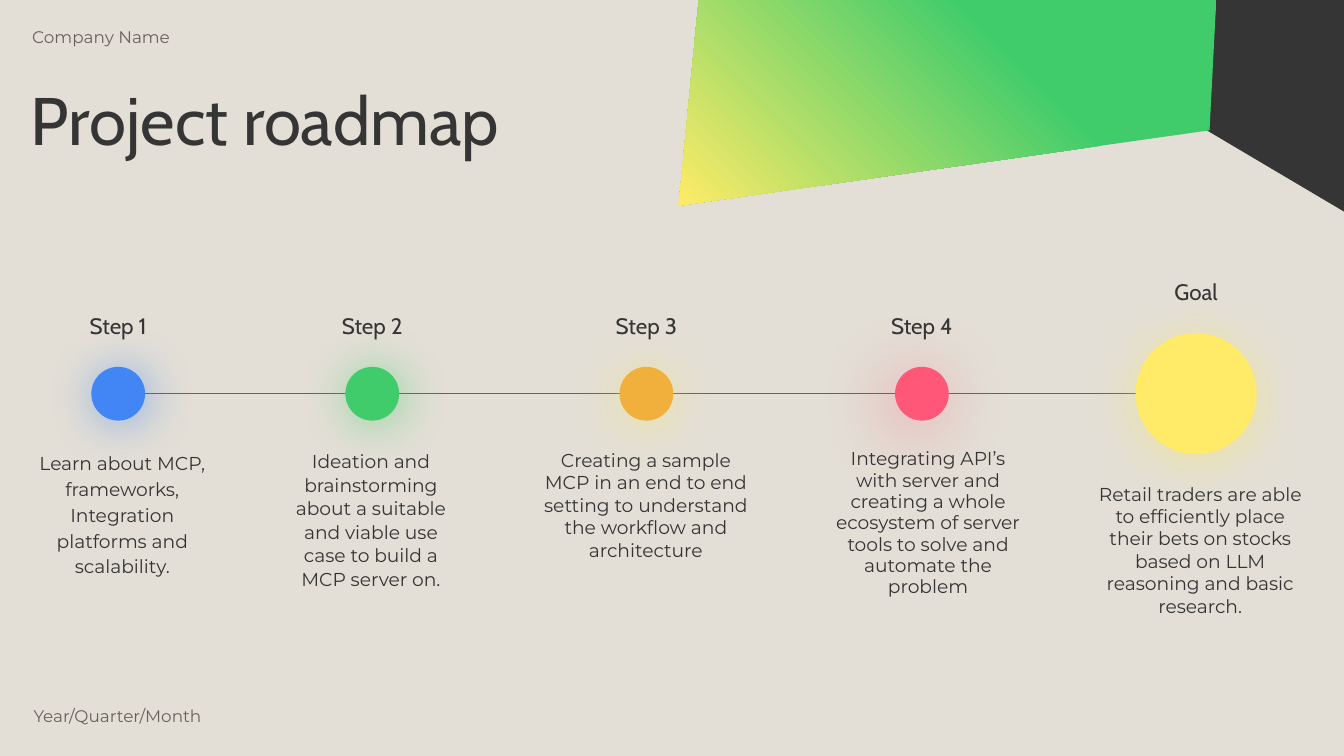
import copy

import lxml.etree
import pptx
import pptx.dml.color
import pptx.enum.shapes
import pptx.enum.text
import pptx.oxml.ns
import pptx.util

Inches = pptx.util.Inches
Pt = pptx.util.Pt
RGBColor = pptx.dml.color.RGBColor
Align = pptx.enum.text.PP_ALIGN
Anchor = pptx.enum.text.MSO_ANCHOR
qn = pptx.oxml.ns.qn

SAND = RGBColor(0xE3, 0xDF, 0xD6)
DARK = RGBColor(0x35, 0x35, 0x35)
GREY = RGBColor(0x69, 0x61, 0x5E)
BLUE = RGBColor(0x42, 0x85, 0xF4)
GREEN = RGBColor(0x41, 0xCC, 0x6B)
AMBER = RGBColor(0xF0, 0xB0, 0x3B)
PINK = RGBColor(0xFF, 0x57, 0x77)
YELLOW = RGBColor(0xFF, 0xEB, 0x67)

SMALL = {"name": "Montserrat", "size": Pt(9), "color": GREY}
NOTE = {"name": "Montserrat", "size": Pt(10), "color": DARK}
LABEL = {"name": "Cabin", "size": Pt(12), "color": DARK}
HEAD = {"name": "Cabin", "size": Pt(36), "color": DARK}

SOFT = (56, 25.9, 2.2, 45)
WARM = (50, 27, 3, 90)
WIDE = (50, 38.2, 6, 130)

STEPS = [
    {"mid": 0.88, "size": 0.4, "fill": BLUE, "glow": (BLUE, *SOFT),
     "label": "Step 1", "left": 0.16, "width": 1.5, "space": 1.15,
     "note": "Learn about MCP, frameworks, Integration platforms and scalability."},
    {"mid": 2.77, "size": 0.4, "fill": GREEN, "glow": (GREEN, *SOFT),
     "label": "Step 2", "left": 2.01, "width": 1.5, "space": 1.05,
     "note": "Ideation and brainstorming about a suitable and viable use case "
             "to build a MCP server on."},
    {"mid": 4.81, "size": 0.4, "fill": AMBER, "glow": (YELLOW, *WARM),
     "label": "Step 3", "left": 3.94, "width": 1.73, "space": 1.0,
     "note": "Creating a sample MCP in an end to end setting to understand "
             "the workflow and architecture"},
    {"mid": 6.86, "size": 0.4, "fill": PINK, "glow": (PINK, *WIDE),
     "label": "Step 4", "left": 6.09, "width": 1.63, "space": 0.95,
     "note": "Integrating API’s with server and creating a whole ecosystem of "
             "server tools to solve and automate the problem"},
    {"mid": 8.9, "size": 0.9, "fill": YELLOW, "glow": (YELLOW, *WARM),
     "label": "Goal", "left": 8.03, "width": 1.8, "space": 1.0,
     "note": "Retail traders are able to efficiently place their bets on "
             "stocks based on LLM reasoning and basic research."},
]


def set_text(shape, text, font, align=Align.LEFT, space=1.0, left=0.1, pad=0.1,
             anchor=Anchor.TOP):
    """Fill a shape with one formatted paragraph."""
    frame = shape.text_frame
    form = {"word_wrap": True, "auto_size": pptx.enum.text.MSO_AUTO_SIZE.NONE,
            "vertical_anchor": anchor, "margin_left": Inches(left),
            "margin_top": Inches(pad), "margin_right": Inches(pad),
            "margin_bottom": Inches(pad)}
    for key, value in form.items():
        setattr(frame, key, value)
    line = frame.paragraphs[0]
    line.alignment, line.line_spacing = align, space
    run = line.add_run()
    run.text = text
    for key, value in font.items():
        if key == "color":
            run.font.color.rgb = value
        else:
            setattr(run.font, key, value)


def add_text(slide, box, text, font, **form):
    """Add a text box at the given place in inches."""
    shape = slide.shapes.add_textbox(*map(Inches, box))
    set_text(shape, text, font, **form)


def add_glow(shape, color, alpha, blur, gap, angle):
    """Give a shape a soft coloured outer shadow."""
    shape.shadow.inherit = False
    effects = shape._element.spPr.find(qn("a:effectLst"))
    glow = lxml.etree.SubElement(
        effects, qn("a:outerShdw"), blurRad=str(Pt(blur)), dist=str(Pt(gap)),
        dir=str(angle * 60000), algn="bl", rotWithShape="0")
    tint = lxml.etree.SubElement(glow, qn("a:srgbClr"), val=str(color))
    lxml.etree.SubElement(tint, qn("a:alpha"), val=str(alpha * 1000))


def add_shard(slide, box, points):
    """Draw a closed outline from points relative to its box."""
    left, top = box
    spots = [(Inches(left + x), Inches(top + y)) for x, y in points]
    pen = slide.shapes.build_freeform(*spots[0], scale=1.0)
    pen.add_line_segments(spots[1:], close=True)
    shape = pen.convert_to_shape()
    shape.shadow.inherit = False
    shape.line.fill.background()
    return shape


def add_art(slide, box):
    """Draw the dark and the blended shards in the top right corner."""
    left, top = box
    dark = add_shard(slide, (left + 3.93, top),
                     [(0, 0.98), (1.03, 1.59), (1.03, 0), (0.07, 0)])
    dark.fill.solid()
    dark.fill.fore_color.rgb = DARK
    blend = add_shard(slide, box,
                      [(0.15, 0), (0, 1.54), (3.95, 0.98), (4, 0.01)])
    blend.fill.gradient()
    blend.fill.gradient_angle = 225
    stops = blend._element.spPr.find(".//" + qn("a:gsLst"))
    stops.insert(1, copy.deepcopy(stops[0]))
    marks = [(0, GREEN), (0.35, GREEN), (1, YELLOW)]
    for stop, (place, color) in zip(blend.fill.gradient_stops, marks):
        stop.position = place
        stop.color.rgb = color


def add_head(slide, box):
    """Place the title and the small lines above and below."""
    left, top, width, height = box
    title = slide.shapes.title
    places = {"left": left, "top": top + 0.55, "width": 6.37, "height": 0.75}
    for key, value in places.items():
        setattr(title, key, Inches(value))
    set_text(title, "Project roadmap", HEAD, space=0.9)
    add_text(slide, (left - 0.09, top + 0.1, 1.73, 0.21), "Company Name",
             SMALL, left=0.2)
    add_text(slide, (left + 0.12, top + height - 0.4, 2.12, 0.21),
             "Year/Quarter/Month", SMALL, left=0, pad=0, anchor=Anchor.MIDDLE)


def add_step(slide, axis, step):
    """Place a dot on the axis with its label above and note below."""
    size, mid = step["size"], step["mid"]
    top = axis - size / 2
    dot = slide.shapes.add_shape(
        pptx.enum.shapes.MSO_SHAPE.OVAL,
        *map(Inches, (mid - size / 2, top, size, size)))
    dot.fill.solid()
    dot.fill.fore_color.rgb = step["fill"]
    dot.line.fill.background()
    add_glow(dot, *step["glow"])
    add_text(slide, (mid - 0.45, top - 0.51, 0.9, 0.4), step["label"], LABEL,
             align=Align.CENTER)
    add_text(slide, (step["left"], top + size + 0.11, step["width"], 1.16),
             step["note"], NOTE, align=Align.CENTER, space=step["space"])


def add_road(slide, box):
    """Draw the axis line and all the steps on it."""
    left, axis, width = box
    line = slide.shapes.add_connector(
        pptx.enum.shapes.MSO_CONNECTOR.STRAIGHT,
        *map(Inches, (left, axis, left + width, axis)))
    line.line.color.rgb = GREY
    line.line.width = Pt(0.75)
    lxml.etree.SubElement(line._element.spPr, qn("a:effectLst"))
    for step in STEPS:
        add_step(slide, axis, step)


def main():
    """Build the roadmap slide and save it."""
    deck = pptx.Presentation()
    deck.slide_width = Inches(10)
    deck.slide_height = deck.slide_width * 9 // 16
    slide = deck.slides.add_slide(deck.slide_layouts[5])
    slide.background.fill.solid()
    slide.background.fill.fore_color.rgb = SAND
    add_art(slide, (5.05, -0.01))
    add_road(slide, (0.75, 2.93, 8.4))
    add_head(slide, (0.13, 0, 10, 5.62))
    deck.save("out.pptx")


if __name__ == "__main__":
    main()
